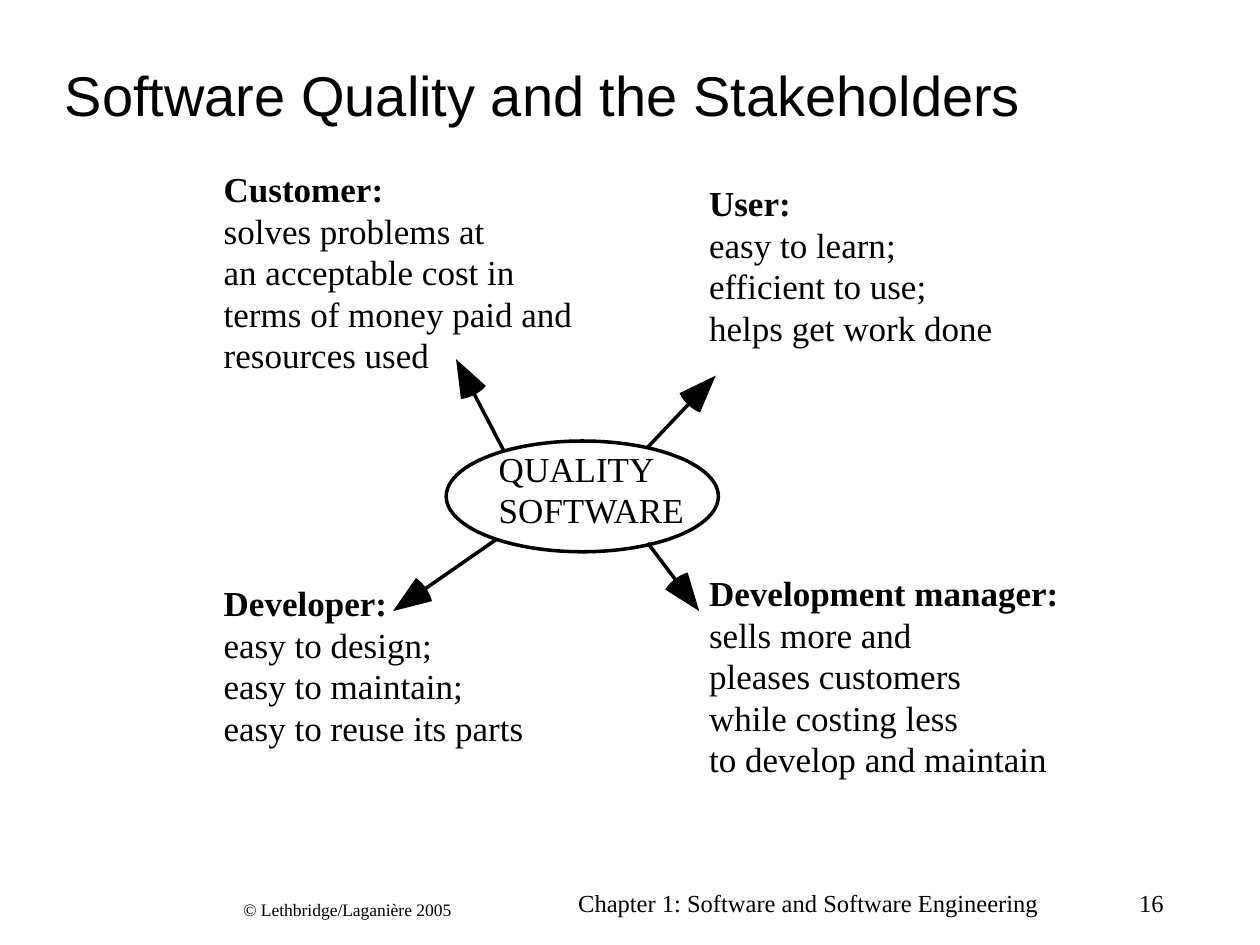
from math import atan2, cos, dist, radians, sin

from lxml.etree import SubElement
from pptx import Presentation
from pptx.dml.color import RGBColor
from pptx.enum.shapes import MSO_CONNECTOR, MSO_SHAPE
from pptx.enum.text import MSO_ANCHOR, PP_ALIGN
from pptx.oxml.ns import qn
from pptx.util import Pt

BLACK = RGBColor(0, 0, 0)
WHITE = RGBColor(255, 255, 255)
SERIF, SANS = "Times New Roman", "Arial"
LINE_PITCH = 23.7
HEAD_LENGTH = 23
HEAD_HALF_ANGLE = radians(20.5)

prs = Presentation()
prs.slide_width, prs.slide_height = Pt(720), Pt(540)
s = prs.slides.add_slide(prs.slide_layouts[6])


def add_text(lines, x, y, w, h, size, font=SERIF, align=PP_ALIGN.LEFT):
    """Add a wrapping text box with one paragraph per line."""
    tf = s.shapes.add_textbox(Pt(x), Pt(y), Pt(w), Pt(h)).text_frame
    tf.word_wrap = True
    tf.text = "\n".join(lines)
    for p in tf.paragraphs:
        p.alignment = align
        p.font.size, p.font.name = Pt(size), font
        p.font.color.rgb = BLACK
    return tf


def add_label(lines, x, y, w):
    """Add a block of diagram text without insets, at a fixed line pitch."""
    tf = add_text(lines, x, y, w, LINE_PITCH * len(lines), 20)
    tf.margin_left = tf.margin_right = tf.margin_top = tf.margin_bottom = 0
    for p in tf.paragraphs:
        p.line_spacing = Pt(LINE_PITCH)
    return tf


# Title and footer
title = add_text(["Software Quality and the Stakeholders"], 30, 18, 648, 72, 32, SANS)
title.vertical_anchor = MSO_ANCHOR.MIDDLE
add_text(["© Lethbridge/Laganière 2005"], 132, 510, 156, 36, 10)
add_text(["Chapter 1: Software and Software Engineering"], 300, 504, 324, 36, 14,
         align=PP_ALIGN.CENTER)
add_text(["16"], 636, 504, 36, 36, 14, align=PP_ALIGN.RIGHT)

# Central ellipse
ellipse = s.shapes.add_shape(MSO_SHAPE.OVAL, Pt(255), Pt(252), Pt(155.5), Pt(63.3))
ellipse.shadow.inherit = False
ellipse.fill.solid()
ellipse.fill.fore_color.rgb = WHITE
ellipse.line.color.rgb = BLACK
ellipse.line.width = Pt(2)
add_label(["QUALITY", "SOFTWARE"], 285, 256, 110)

# Stakeholders: lines, left, top, width
stakeholders = [
    (["Customer:", "solves problems at", "an acceptable cost in",
      "terms of money paid and", "resources used"], 127.8, 96.2, 215),
    (["User:", "easy to learn;", "efficient to use;", "helps get work done"],
     405.2, 104.2, 180),
    (["Developer:", "easy to design;", "easy to maintain;",
      "easy to reuse its parts"], 127.8, 332.8, 190),
    (["Development manager:", "sells more and", "pleases customers",
      "while costing less", "to develop and maintain"], 405.2, 327, 215),
]
for lines, x, y, w in stakeholders:
    add_label(lines, x, y, w).paragraphs[0].font.bold = True

# Arrows: tail on the ellipse, tip at the stakeholder; each head is a circle sector
arrows = [
    ((288, 257.8), (260.6, 205.2)),
    ((370.1, 255.6), (409, 214.6)),
    ((283.7, 308.2), (224.6, 349.2)),
    ((370.1, 310.3), (399.6, 349.2)),
]
for tail, tip in arrows:
    angle = atan2(tail[1] - tip[1], tail[0] - tip[0])
    share = (HEAD_LENGTH - 1) / dist(tail, tip)
    end = [b + (a - b) * share for a, b in zip(tail, tip)]
    shaft = s.shapes.add_connector(MSO_CONNECTOR.STRAIGHT, *map(Pt, (*tail, *end)))
    shaft.line.color.rgb = BLACK
    shaft.line.width = Pt(2)
    SubElement(shaft._element.spPr, qn("a:effectLst"))

    arc = [angle + HEAD_HALF_ANGLE * step / 4 for step in range(-4, 5)]
    builder = s.shapes.build_freeform(Pt(tip[0]), Pt(tip[1]))
    builder.add_line_segments([(Pt(tip[0] + HEAD_LENGTH * cos(a)),
                                Pt(tip[1] + HEAD_LENGTH * sin(a))) for a in arc])
    head = builder.convert_to_shape()
    head.shadow.inherit = False
    head.fill.solid()
    head.fill.fore_color.rgb = BLACK
    head.line.fill.background()

prs.save("out.pptx")
